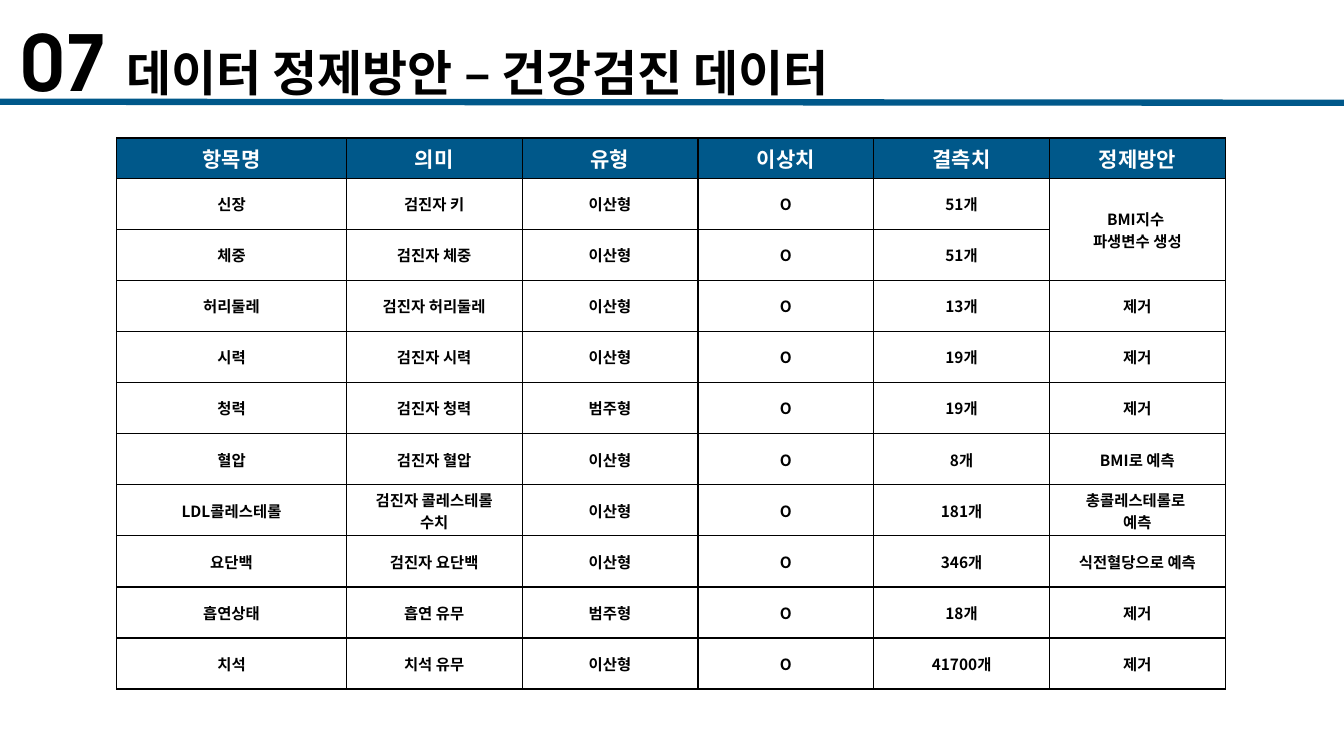
import pptx
import pptx.dml.color
import pptx.enum.shapes
import pptx.enum.text
import pptx.oxml.ns
import pptx.util
from lxml import etree

Pt = pptx.util.Pt
MIDDLE = pptx.enum.text.MSO_ANCHOR.MIDDLE
CENTER = pptx.enum.text.PP_ALIGN.CENTER
BLUE, BLACK, WHITE = "00588A", "000000", "FFFFFF"
KOREAN_FONT, TITLE_FONT = "Noto Sans CJK KR", "TeX Gyre Adventor"

HEADERS = ["항목명", "의미", "유형", "이상치", "결측치", "정제방안"]
# Item, meaning, type, missing values, cleaning method
ITEMS = [
    ("신장", "검진자 키", "이산형", "51개", "BMI지수 \n파생변수 생성"),
    ("체중", "검진자 체중", "이산형", "51개", ""),
    ("허리둘레", "검진자 허리둘레", "이산형", "13개", "제거"),
    ("시력", "검진자 시력", "이산형", "19개", "제거"),
    ("청력", "검진자 청력", "범주형", "19개", "제거"),
    ("혈압", "검진자 혈압", "이산형", "8개", "BMI로 예측"),
    ("LDL콜레스테롤", "검진자 콜레스테롤\n수치", "이산형", "181개", "총콜레스테롤로 \n예측"),
    ("요단백", "검진자 요단백", "이산형", "346개", "식전혈당으로 예측"),
    ("흡연상태", "흡연 유무", "범주형", "18개", "제거"),
    ("치석", "치석 유무", "이산형", "41700개", "제거"),
]


def color(value):
    return pptx.dml.color.RGBColor.from_string(value)


def set_attributes(target, values):
    for name, value in values.items():
        setattr(target, name, value)


def add_run(paragraph, text, size, fill, latin):
    run = paragraph.add_run()
    run.text = text
    set_attributes(run.font, {"size": Pt(size), "bold": True, "name": latin})
    run.font.color.rgb = color(fill)
    east_asian = etree.SubElement(run.font._element, pptx.oxml.ns.qn("a:ea"))
    east_asian.set("typeface", KOREAN_FONT)


def add_title(slide, left, top, width, height):
    # Rule under the title, drawn first so that the text lies above it
    bottom = top + height
    rule = slide.shapes.add_connector(
        pptx.enum.shapes.MSO_CONNECTOR.STRAIGHT,
        Pt(0), Pt(bottom), Pt(960), Pt(bottom + 0.7))
    rule.line.color.rgb = color(BLUE)
    rule.line.width = Pt(4.5)
    etree.SubElement(rule._element.spPr, pptx.oxml.ns.qn("a:effectLst"))

    # Section number and title
    box = slide.shapes.add_textbox(Pt(left), Pt(top), Pt(width), Pt(height))
    set_attributes(box.text_frame, {
        "word_wrap": True, "vertical_anchor": MIDDLE,
        "margin_left": Pt(9.6), "margin_right": Pt(9.6),
        "margin_top": Pt(4.8), "margin_bottom": Pt(4.8)})
    paragraph = box.text_frame.paragraphs[0]
    for text, size in (("07", 55), (" ", 46.7), ("데이터 정제방안 – 건강검진 데이터", 35)):
        add_run(paragraph, text, size, BLACK, TITLE_FONT)


def add_borders(cell):
    properties = cell._tc.get_or_add_tcPr()
    for side in ("lnL", "lnR", "lnT", "lnB"):
        line = etree.SubElement(properties, pptx.oxml.ns.qn("a:" + side), w=str(Pt(1)))
        fill = etree.SubElement(line, pptx.oxml.ns.qn("a:solidFill"))
        etree.SubElement(fill, pptx.oxml.ns.qn("a:srgbClr"), val=BLACK)


def fill_cell(cell, text, size, text_color, background):
    set_attributes(cell, {
        "vertical_anchor": MIDDLE,
        "margin_left": Pt(5.2), "margin_right": Pt(5.2),
        "margin_top": Pt(2.6), "margin_bottom": Pt(2.6)})
    add_borders(cell)
    cell.fill.solid()
    cell.fill.fore_color.rgb = color(background)
    for index, line in enumerate(text.split("\n")):
        frame = cell.text_frame
        paragraph = frame.add_paragraph() if index else frame.paragraphs[0]
        paragraph.alignment = CENTER
        if line:
            add_run(paragraph, line, size, text_color, KOREAN_FONT)


def add_cleaning_table(slide, left, top, width, height):
    # Every item has outliers, marked O
    rows = [HEADERS] + [(*item[:3], "O", *item[3:]) for item in ITEMS]
    table = slide.shapes.add_table(
        len(rows), len(HEADERS), Pt(left), Pt(top), Pt(width), Pt(height)).table
    set_attributes(table, {"first_row": False, "horz_banding": False})

    # Wider first column, lower header row, the rest equal
    first_width, header_height = 164, 28.8
    for index, column in enumerate(table.columns):
        column.width = Pt((width - first_width) / (len(HEADERS) - 1) if index else first_width)
    for index, row in enumerate(table.rows):
        row.height = Pt((height - header_height) / len(ITEMS) if index else header_height)

    # Cell contents
    for row_index, row in enumerate(rows):
        style = (11, BLACK, WHITE) if row_index else (15, WHITE, BLUE)
        for column_index, text in enumerate(row):
            fill_cell(table.cell(row_index, column_index), text, *style)

    # Height and weight share one cleaning method
    table.cell(1, 5).merge(table.cell(2, 5))


def main():
    presentation = pptx.Presentation()
    set_attributes(presentation, {"slide_width": Pt(960), "slide_height": Pt(540)})
    slide = presentation.slides.add_slide(presentation.slide_layouts[6])
    add_title(slide, 5.8, 14.4, 912, 58.3)
    add_cleaning_table(slide, 83.4, 98.6, 792, 393.8)
    presentation.save("out.pptx")


if __name__ == "__main__":
    main()
